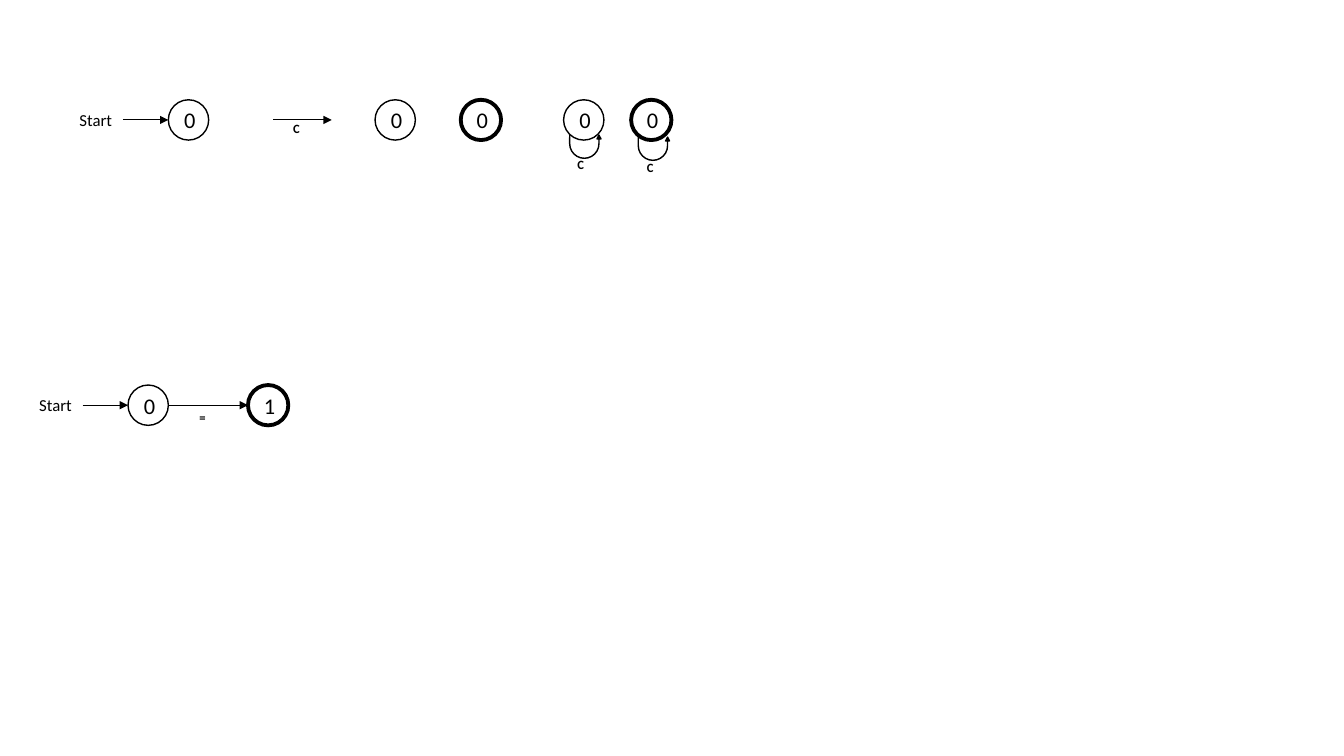
from dataclasses import dataclass

import pptx
import pptx.dml.color
import pptx.enum.shapes
import pptx.enum.text
import pptx.oxml.ns
import pptx.util
from lxml import etree

Inches = pptx.util.Inches
Alignment = pptx.enum.text.PP_ALIGN
ShapeKind = pptx.enum.shapes.MSO_SHAPE
BLACK = "000000"
DIAMETER = 0.4
START_WIDTH, START_HEIGHT = 0.53, 0.3
ENTRY_LENGTH = 0.45
SYMBOL_WIDTH, SYMBOL_HEIGHT = 0.16, 0.25
LOOP_WIDTH, LOOP_HEIGHT = 0.31, 0.23
LOOP_ADJUSTMENTS = (0, 0.085, 0.164, 0.717, 1)


@dataclass
class State:
    left: float
    top: float
    name: str
    accepting: bool = False
    start: bool = False


@dataclass
class Transition:
    left: float
    right: float
    y: float
    symbol: str
    symbol_left: float
    symbol_top: float


@dataclass
class Loop:
    left: float
    top: float
    symbol: str
    symbol_left: float
    symbol_top: float


STATES = [
    State(1.27, 3.82, "0", start=True),
    State(2.46, 3.82, "1", accepting=True),
    State(1.67, 0.99, "0", start=True),
    State(3.72, 0.99, "0"),
    State(4.57, 0.99, "0", accepting=True),
    State(5.59, 0.99, "0"),
    State(6.26, 0.99, "0", accepting=True),
]
TRANSITIONS = [
    Transition(1.67, 2.46, 4.02, "=", 1.93, 4.02),
    Transition(2.71, 3.29, 1.19, "C", 2.86, 1.15),
]
LOOPS = [
    Loop(5.65, 1.34, "C", 5.68, 1.51),
    Loop(6.33, 1.36, "C", 6.37, 1.54),
]


def color(value: str) -> pptx.dml.color.RGBColor:
    return pptx.dml.color.RGBColor.from_string(value)


def write(shape, text: str, size: float, alignment, bold: bool = False) -> None:
    paragraph = shape.text_frame.paragraphs[0]
    paragraph.alignment = alignment
    run = paragraph.add_run()
    run.text = text
    run.font.name = "Calibri"
    run.font.size = pptx.util.Pt(size)
    run.font.bold = bold
    run.font.color.rgb = color(BLACK)


def set_line(shape, width: float) -> None:
    shape.line.color.rgb = color(BLACK)
    shape.line.width = pptx.util.Pt(width)


def add_label(slide, left: float, top: float, width: float, height: float):
    label = slide.shapes.add_textbox(Inches(left), Inches(top), Inches(width), Inches(height))
    label.text_frame.word_wrap = False
    return label


def add_symbol(slide, left: float, top: float, symbol: str) -> None:
    label = add_label(slide, left, top, SYMBOL_WIDTH, SYMBOL_HEIGHT)
    label.text_frame.margin_left = label.text_frame.margin_right = 0
    write(label, symbol, 9, Alignment.CENTER, bold=True)


def add_arrow(slide, left: float, right: float, y: float):
    arrow = slide.shapes.add_connector(
        pptx.enum.shapes.MSO_CONNECTOR.STRAIGHT, Inches(left), Inches(y), Inches(right), Inches(y))
    set_line(arrow, 0.75)
    qualified = pptx.oxml.ns.qn
    etree.SubElement(arrow.line._get_or_add_ln(), qualified("a:tailEnd"), type="triangle")
    etree.SubElement(arrow._element.spPr, qualified("a:effectLst"))
    return arrow


def add_state(slide, state: State) -> None:
    circle = slide.shapes.add_shape(
        ShapeKind.OVAL, Inches(state.left), Inches(state.top), Inches(DIAMETER), Inches(DIAMETER))
    circle.shadow.inherit = False
    circle.fill.background()
    set_line(circle, 2.75 if state.accepting else 1)
    circle.text_frame.vertical_anchor = pptx.enum.text.MSO_ANCHOR.MIDDLE
    write(circle, state.name, 16, Alignment.CENTER)
    if state.start:
        add_entry(slide, state)


def add_entry(slide, state: State) -> None:
    """Draw the Start label and its arrow into the state."""
    middle = state.top + DIAMETER / 2
    arrow_left = state.left - ENTRY_LENGTH
    label = add_label(slide, arrow_left - START_WIDTH, middle - START_HEIGHT / 2,
                      START_WIDTH, START_HEIGHT)
    write(label, "Start", 12, Alignment.LEFT)
    add_arrow(slide, arrow_left, state.left, middle).begin_connect(label, 3)


def add_transition(slide, transition: Transition) -> None:
    add_arrow(slide, transition.left, transition.right, transition.y)
    add_symbol(slide, transition.symbol_left, transition.symbol_top, transition.symbol)


def add_loop(slide, loop: Loop) -> None:
    arrow = slide.shapes.add_shape(
        ShapeKind.U_TURN_ARROW, Inches(loop.left), Inches(loop.top),
        Inches(LOOP_WIDTH), Inches(LOOP_HEIGHT))
    arrow.shadow.inherit = False
    for index, value in enumerate(LOOP_ADJUSTMENTS):
        arrow.adjustments[index] = value
    arrow.rotation = 180
    arrow._element.spPr.xfrm.set("flipH", "1")
    arrow.fill.solid()
    arrow.fill.fore_color.rgb = color(BLACK)
    set_line(arrow, 1)
    add_symbol(slide, loop.symbol_left, loop.symbol_top, loop.symbol)


def main() -> None:
    presentation = pptx.Presentation()
    presentation.slide_width = Inches(13.33)
    presentation.slide_height = Inches(7.5)
    slide = presentation.slides.add_slide(presentation.slide_layouts[6])
    for state in STATES:
        add_state(slide, state)
    for transition in TRANSITIONS:
        add_transition(slide, transition)
    for loop in LOOPS:
        add_loop(slide, loop)
    presentation.save("out.pptx")


if __name__ == "__main__":
    main()
